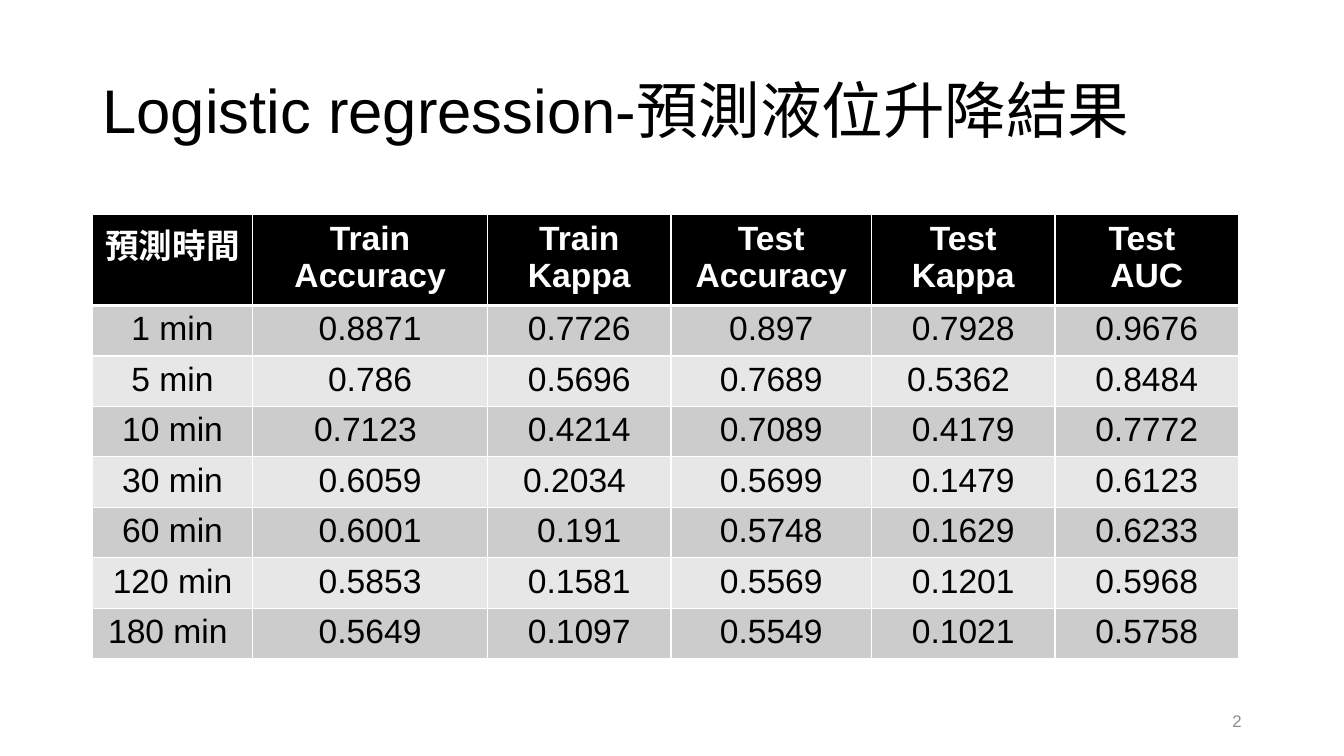
from lxml import etree
from pptx import Presentation
from pptx.dml.color import RGBColor
from pptx.enum.text import MSO_ANCHOR, PP_ALIGN
from pptx.oxml.ns import qn
from pptx.util import Pt

LEFT, CENTER, RIGHT = PP_ALIGN.LEFT, PP_ALIGN.CENTER, PP_ALIGN.RIGHT
MIDDLE = MSO_ANCHOR.MIDDLE
FONT = "Arial"
BLACK, WHITE, GREY = "000000", "FFFFFF", "8C8C8C"
BANDS = ("CCCCCC", "E7E7E7")

COL_WIDTHS = (114.5, 167.8, 131, 143.3, 131, 131)
HEADER_HEIGHT, ROW_HEIGHT = 60, 34
HEADER = ("預測時間", "Train Accuracy", "Train Kappa", "Test Accuracy",
          "Test Kappa", "Test \nAUC")
RESULTS = (
    ("1 min", "0.8871", "0.7726", "0.897", "0.7928", "0.9676"),
    ("5 min", "0.786", "0.5696", "0.7689", "0.5362 ", "0.8484"),
    ("10 min", "0.7123 ", "0.4214", "0.7089", "0.4179", "0.7772"),
    ("30 min", "0.6059", "0.2034 ", "0.5699", "0.1479", "0.6123"),
    ("60 min", "0.6001", "0.191", "0.5748", "0.1629", "0.6233"),
    ("120 min", "0.5853", "0.1581", "0.5569", "0.1201", "0.5968"),
    ("180 min ", "0.5649", "0.1097", "0.5549", "0.1021", "0.5758"),
)


def rgb(color):
    return RGBColor.from_string(color)


def write(tf, text, size, color, align, bold=False, spacing=None):
    for i, line in enumerate(text.split("\n")):
        p = tf.add_paragraph() if i else tf.paragraphs[0]
        p.alignment = align
        if spacing:
            p.line_spacing = spacing
        r = p.add_run()
        r.text = line
        r.font.name, r.font.size, r.font.bold = FONT, Pt(size), bold
        r.font.color.rgb = rgb(color)


def add_text(s, box, text, size, color, align, spacing=None):
    tf = s.shapes.add_textbox(*map(Pt, box)).text_frame
    tf.word_wrap = True
    tf.vertical_anchor = MIDDLE
    write(tf, text, size, color, align, spacing=spacing)


def set_borders(cell, widths):
    """Add white lines; widths run left, right, top, bottom."""
    tcPr = cell._tc.get_or_add_tcPr()
    for i, (side, width) in enumerate(zip("LRTB", widths)):
        ln = etree.Element(qn(f"a:ln{side}"), w=str(Pt(width)))
        fill = etree.SubElement(ln, qn("a:solidFill"))
        etree.SubElement(fill, qn("a:srgbClr"), val=WHITE)
        tcPr.insert(i, ln)


def add_results(s, left, top):
    rows = (HEADER,) + RESULTS
    height = HEADER_HEIGHT + ROW_HEIGHT * len(RESULTS)
    table = s.shapes.add_table(len(rows), len(HEADER), Pt(left), Pt(top),
                               Pt(sum(COL_WIDTHS)), Pt(height)).table
    for col, width in zip(table.columns, COL_WIDTHS):
        col.width = Pt(width)
    for i, values in enumerate(rows):
        is_header = i == 0
        table.rows[i].height = Pt(HEADER_HEIGHT if is_header else ROW_HEIGHT)
        for j, value in enumerate(values):
            cell = table.cell(i, j)
            cell.fill.solid()
            cell.fill.fore_color.rgb = rgb(BLACK if is_header else BANDS[(i - 1) % 2])
            write(cell.text_frame, value, 24, WHITE if is_header else BLACK,
                  CENTER, bold=is_header)
            # The heavier line separates the header from the results
            set_borders(cell, (1, 1, 3 if i == 1 else 1, 3 if is_header else 1))


def build_slide(prs):
    s = prs.slides.add_slide(prs.slide_layouts[6])
    # Title
    add_text(s, (66, 28.8, 828, 104.4), "Logistic regression-預測液位升降結果",
             44, BLACK, LEFT, spacing=0.9)
    # Slide number
    add_text(s, (678, 500.4, 216, 28.8), "2", 12, GREY, RIGHT)
    # Results table
    add_results(s, 66, 153.4)


prs = Presentation()
prs.slide_width, prs.slide_height = Pt(960), Pt(540)
build_slide(prs)
prs.save("out.pptx")
